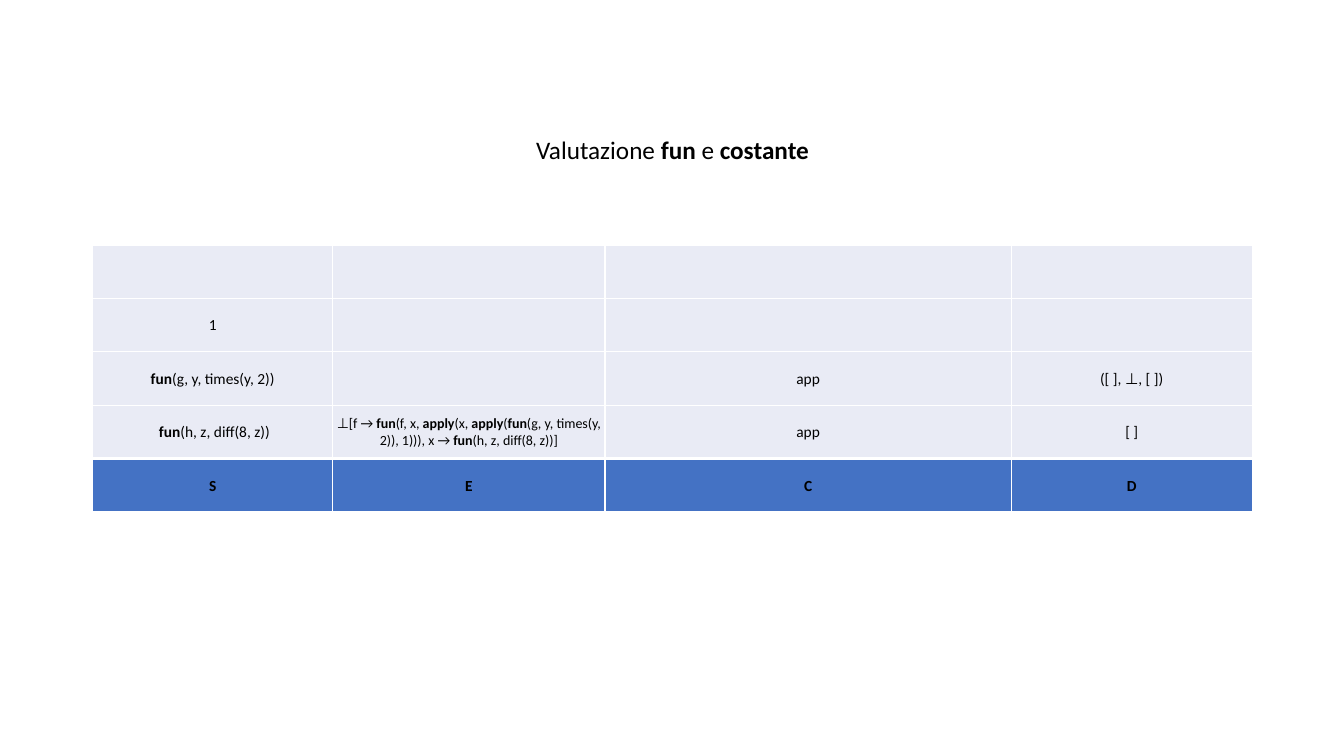
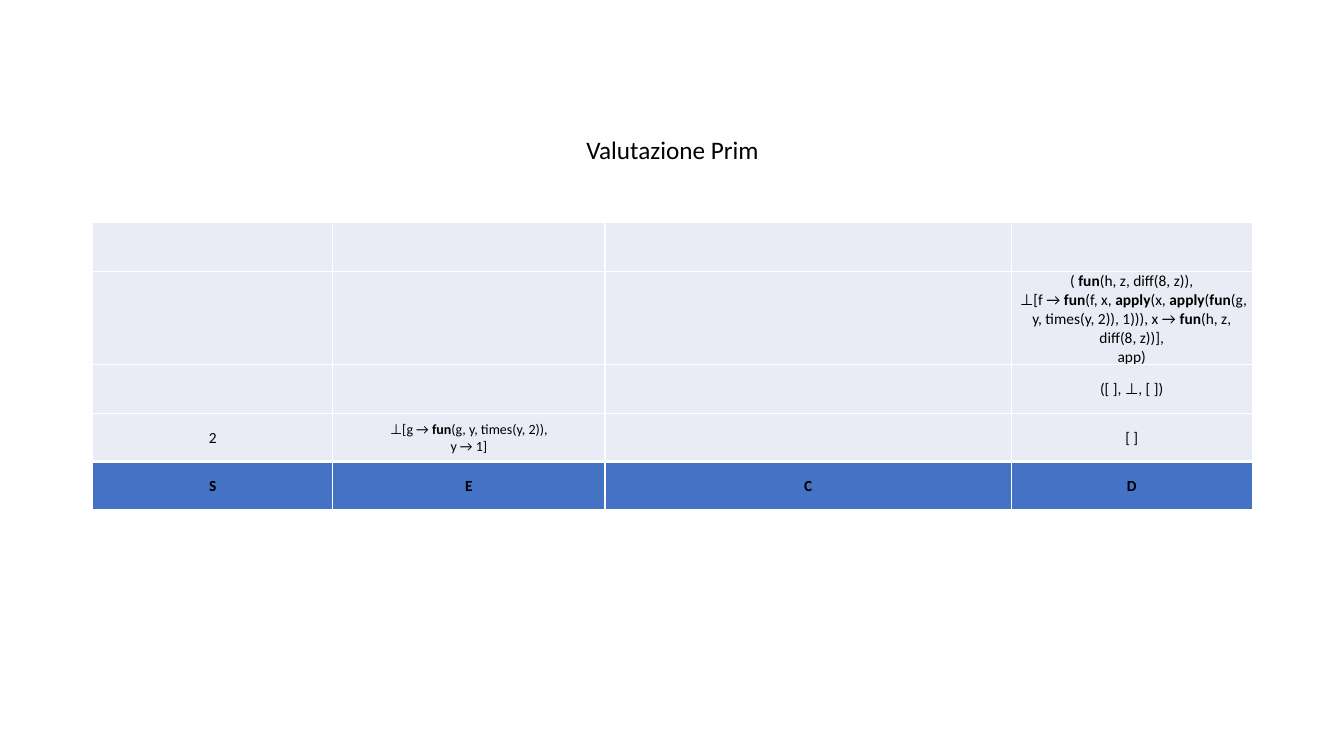
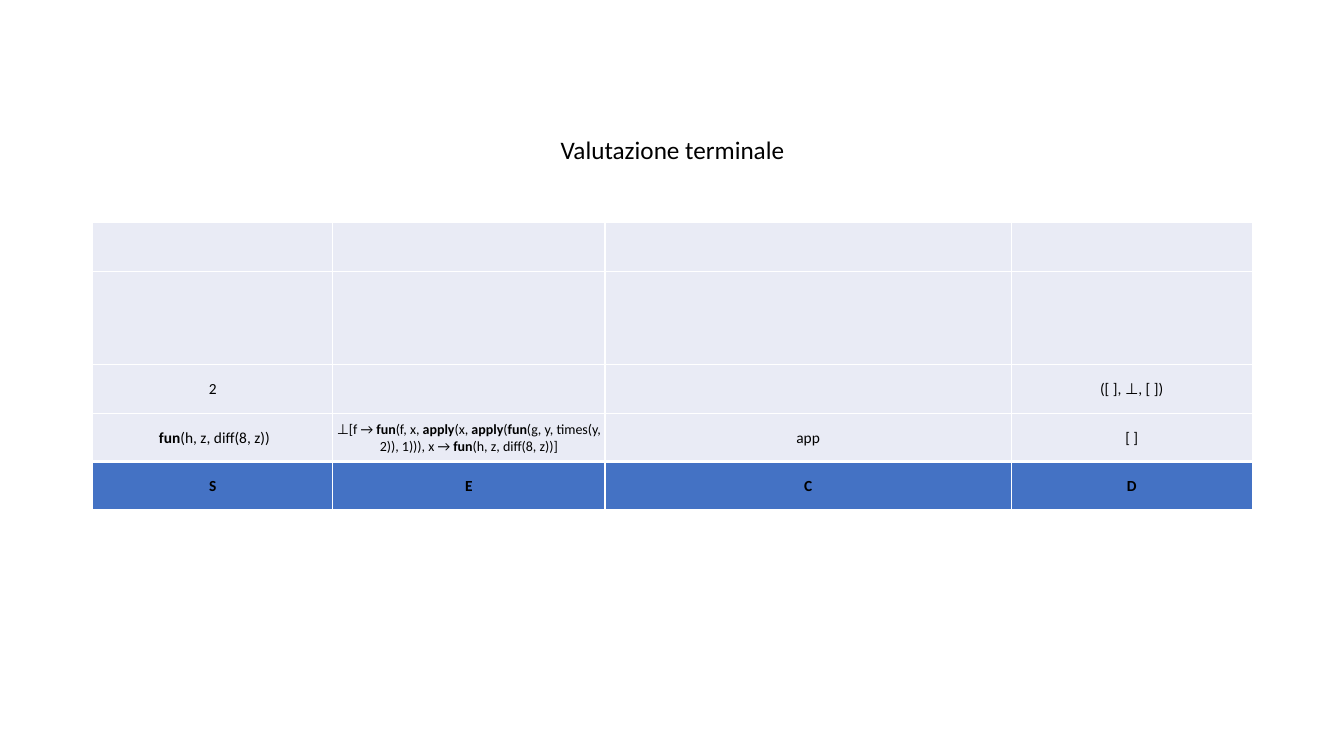
from lxml.etree import SubElement
from pptx import Presentation
from pptx.dml.color import RGBColor
from pptx.enum.text import MSO_ANCHOR, MSO_AUTO_SIZE, PP_ALIGN
from pptx.oxml.ns import qn
from pptx.util import Inches, Pt

BLACK, WHITE, BLUE, PALE = "000000", "FFFFFF", "4472C4", "E9EBF5"
FONT = "Calibri"
COLS = [2.38, 2.7, 4.03, 2.39]
HEAD = ["**S**", "**E**", "**C**", "**D**"]
MARGINS = {"margin_left": 0.01, "margin_right": 0.01, "margin_top": 0.01, "margin_bottom": 0}

FUN_G = "**fun**(g, y, times(y, 2))"
FUN_H = "**fun**(h, z, diff(8, z))"
ENV = f"⊥[f → **fun**(f, x, **apply**(x, **apply**({FUN_G}, 1))), x → {FUN_H}]"
START = "([ ], ⊥, [ ])"
BLANK = [""] * 4
CALL = [" " + FUN_H, ENV, "app", "[ ]"]
TALL = [0.48, 0.93, 0.48, 0.48, 0.48]

SLIDES = [
    ("Valutazione **fun** e **costante**", 2.43, [0.53] * 5, [
        BLANK,
        ["1", "", "", ""],
        [FUN_G, "", "app", START],
        CALL,
    ]),
    ("Valutazione Prim", 2.21, TALL, [
        BLANK,
        ["", "", "", f"( {FUN_H},\n {ENV},\napp)"],
        ["", "", "", START],
        ["2", f"⊥[g → {FUN_G},\ny → 1]", "", "[ ]"],
    ]),
    ("Valutazione terminale", 2.21, TALL, [
        BLANK,
        BLANK,
        ["2", "", "", START],
        CALL,
    ]),
]


def color(code):
    return RGBColor.from_string(code)


def write(frame, text, size):
    """Write centred text, with **bold** marks and line breaks."""
    para = frame.paragraphs[0]
    para.alignment = PP_ALIGN.CENTER
    for i, part in enumerate(text.split("**")):
        for j, line in enumerate(part.split("\n")):
            if j:
                para.add_line_break()
            if line:
                run = para.add_run()
                run.text = line
                style = {"name": FONT, "size": Pt(size), "bold": i % 2 == 1}
                for key, value in style.items():
                    setattr(run.font, key, value)
                run.font.color.rgb = color(BLACK)


deck = Presentation()
deck.slide_width, deck.slide_height = Inches(13.33), Inches(7.5)

for heading, top, heights, body in SLIDES:
    slide = deck.slides.add_slide(deck.slide_layouts[5])

    title = slide.shapes.title
    place = {"left": 4.87, "top": 1.28, "width": 3.6, "height": 0.4}
    for key, value in place.items():
        setattr(title, key, Inches(value))
    frame = title.text_frame
    frame.word_wrap = True
    frame.auto_size = MSO_AUTO_SIZE.SHAPE_TO_FIT_TEXT
    frame.vertical_anchor = MSO_ANCHOR.TOP
    write(frame, heading, 18)

    rows = body + [HEAD]
    last = len(rows) - 1
    table = slide.shapes.add_table(
        len(rows), len(COLS), Inches(0.92), Inches(top),
        Inches(sum(COLS)), Inches(sum(heights))).table
    table.first_row = table.horz_banding = False
    for col, width in zip(table.columns, COLS):
        col.width = Inches(width)
    for row, height in zip(table.rows, heights):
        row.height = Inches(height)

    for r, row in enumerate(rows):
        edges = {"L": 1, "R": 1, "T": 3 if r == last else 1, "B": 3 if r == last - 1 else 1}
        for c, text in enumerate(row):
            cell = table.cell(r, c)
            cell.vertical_anchor = MSO_ANCHOR.MIDDLE
            for key, value in MARGINS.items():
                setattr(cell, key, Inches(value))
            props = cell._tc.get_or_add_tcPr()
            for side, width in edges.items():
                edge = SubElement(props, qn("a:ln" + side), w=str(Pt(width)))
                fill = SubElement(edge, qn("a:solidFill"))
                SubElement(fill, qn("a:srgbClr"), val=WHITE)
            cell.fill.solid()
            cell.fill.fore_color.rgb = color(BLUE if r == last else PALE)
            if text:
                write(cell.text_frame, text, 10 if c == 1 and r < last else 11)

deck.save("out.pptx")
